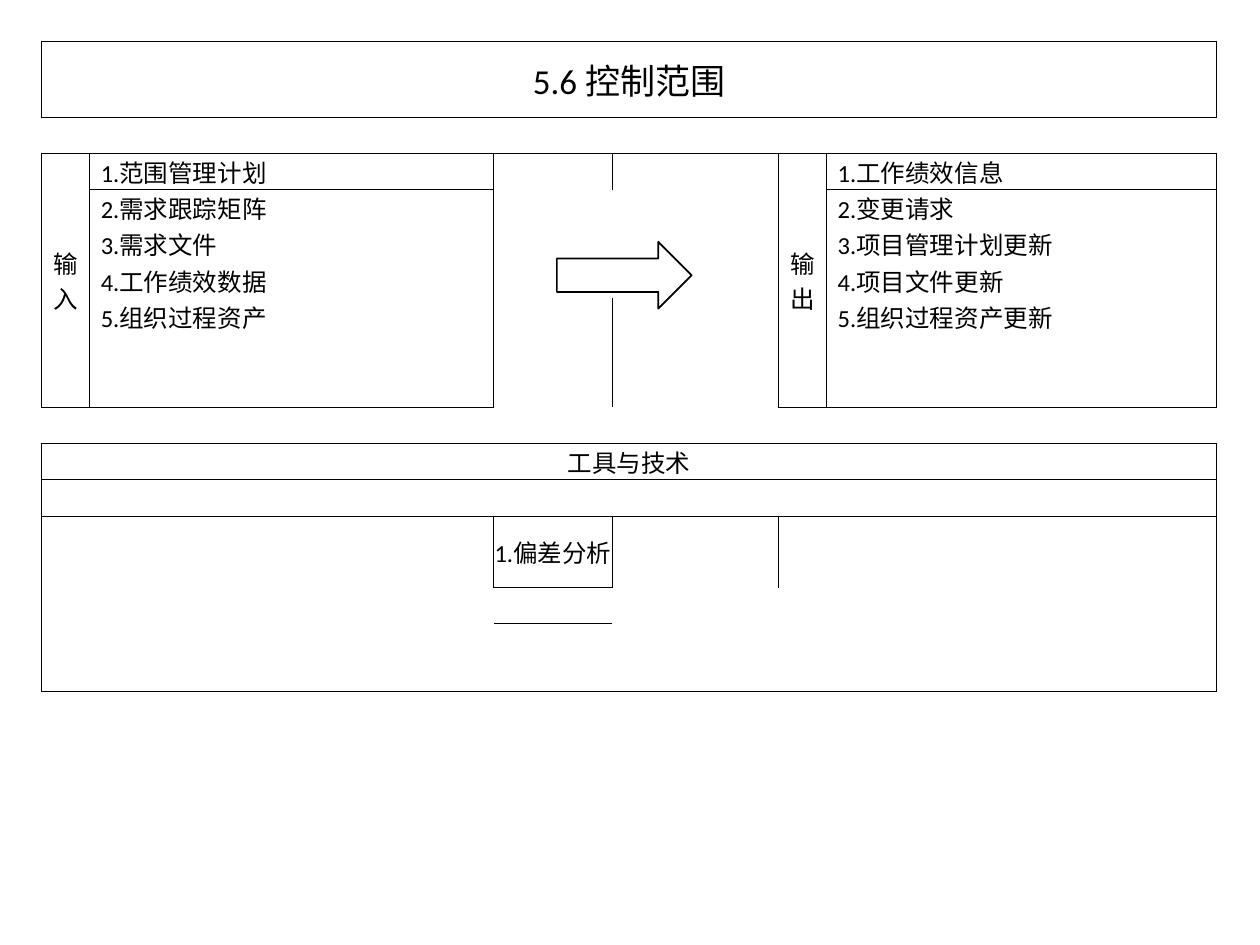
"""Builds the slide on inputs, tools and outputs of scope control."""
from lxml import etree
from pptx import Presentation
from pptx.dml.color import RGBColor
from pptx.enum.shapes import MSO_SHAPE
from pptx.enum.text import MSO_ANCHOR, PP_ALIGN
from pptx.oxml.ns import qn
from pptx.util import Inches, Pt

BLACK = RGBColor(0x00, 0x00, 0x00)
RIGHT_ARROW = MSO_SHAPE.RIGHT_ARROW
MIDDLE = MSO_ANCHOR.MIDDLE
LEFT, CENTER = PP_ALIGN.LEFT, PP_ALIGN.CENTER
PLAIN_STYLE = "{2D5ABB26-0587-4C30-8999-92F81FD0307C}"

COLUMNS = [0.38, 1.32, 0.67, 1.22, 0.94, 1.32, 0.38, 0.85, 1.32, 0.93]
ROWS = [0.6] + [4.03 / 14] * 14 + [0.25]
GAP = "." * 10
BLOCKS = [
    "T" * 10, GAP, *["iIII..oOOO"] * 7, GAP,
    "H" * 10, "t" * 10, "ttttBttttt", *["t" * 10] * 3,
]
MERGES = [(0, 0, 1, 10), (10, 0, 1, 10), (2, 0, 7, 1), (2, 6, 7, 1), (3, 4, 3, 2)]
MERGES += [(row, col, 1, 3) for row in range(2, 9) for col in (1, 7)]
LABELS = {(2, 0): "输入", (2, 6): "输出", (10, 0): "工具与技术", (12, 4): "1.偏差分析"}
INPUTS = ["范围管理计划", "需求跟踪矩阵", "需求文件", "工作绩效数据", "组织过程资产"]
OUTPUTS = ["工作绩效信息", "变更请求", "项目管理计划更新", "项目文件更新", "组织过程资产更新"]


class ProcessPage:
    """Holds the style and the current slide."""

    font = "Calibri"
    size = 14
    title_size = 20
    border = 0.5

    def __init__(self, deck):
        self.page = deck.slides.add_slide(deck.slide_layouts[6])

    def table(self, left, top):
        """Adds the empty table and merges its cells."""
        frame = self.page.shapes.add_table(
            len(ROWS), len(COLUMNS), Inches(left), Inches(top),
            Inches(sum(COLUMNS)), Inches(sum(ROWS)))
        table = frame.table
        table.first_row = table.horz_banding = False
        table._tbl.tblPr.find(qn("a:tableStyleId")).text = PLAIN_STYLE
        for column, width in zip(table.columns, COLUMNS):
            column.width = Inches(width)
        for row, height in zip(table.rows, ROWS):
            row.height = Inches(height)
        for row, col, height, width in MERGES:
            table.cell(row, col).merge(table.cell(row + height - 1, col + width - 1))
        for row in range(len(ROWS)):
            for col in range(len(COLUMNS)):
                cell = table.cell(row, col)
                self.borders(cell, row, col)
                self.cell_text(cell, "", self.size)
        return table

    def borders(self, cell, row, col):
        """Draws a line wherever two different blocks meet."""
        width = cell.span_width if cell.is_merge_origin else 1
        height = cell.span_height if cell.is_merge_origin else 1
        neighbours = {
            "a:lnL": (row, col - 1), "a:lnR": (row, col + width),
            "a:lnT": (row - 1, col), "a:lnB": (row + height, col),
        }
        properties = cell._tc.get_or_add_tcPr()
        for tag, (other_row, other_col) in neighbours.items():
            inside = 0 <= other_row < len(ROWS) and 0 <= other_col < len(COLUMNS)
            other = BLOCKS[other_row][other_col] if inside else "."
            if other != BLOCKS[row][col]:
                line = etree.SubElement(properties, qn(tag), w=str(Pt(self.border)))
                fill = etree.SubElement(line, qn("a:solidFill"))
                etree.SubElement(fill, qn("a:srgbClr"), val=str(BLACK))
        cell.fill.background()

    def cell_text(self, cell, text, size, align=CENTER, indent=0):
        """Writes and formats the text of one cell."""
        cell.margin_left = Inches(indent)
        cell.margin_right = cell.margin_top = cell.margin_bottom = 0
        cell.vertical_anchor = MIDDLE
        para = cell.text_frame.paragraphs[0]
        para.text = text
        para.alignment = align
        para.font.name = self.font
        para.font.size = Pt(size)
        para.font.color.rgb = BLACK
        end = para._p.find(qn("a:endParaRPr"))
        if end is None:
            end = etree.SubElement(para._p, qn("a:endParaRPr"))
        end.set("sz", str(size * 100))

    def numbered_list(self, table, col, items):
        """Writes one numbered item in each row of a list column."""
        for number, item in enumerate(items, 1):
            self.cell_text(table.cell(number + 1, col), f"{number}.{item}",
                           self.size, LEFT, 0.09)

    def arrow(self, left, top, width, height):
        """Adds an outlined block arrow."""
        arrow = self.page.shapes.add_shape(
            RIGHT_ARROW, Inches(left), Inches(top), Inches(width), Inches(height))
        arrow.shadow.inherit = False
        arrow.fill.background()
        arrow.line.color.rgb = BLACK
        arrow.line.width = Pt(1)


def main():
    """Builds and saves the deck."""
    deck = Presentation()
    deck.slide_width, deck.slide_height = Inches(10), Inches(7.5)
    page = ProcessPage(deck)
    table = page.table(0.33, 0.33)
    page.cell_text(table.cell(0, 0), "5.6 控制范围", page.title_size)
    for (row, col), label in LABELS.items():
        page.cell_text(table.cell(row, col), label, page.size)
    page.numbered_list(table, 1, INPUTS)
    page.numbered_list(table, 7, OUTPUTS)
    page.arrow(4.42, 1.92, 1.07, 0.53)
    deck.save("out.pptx")


if __name__ == "__main__":
    main()
